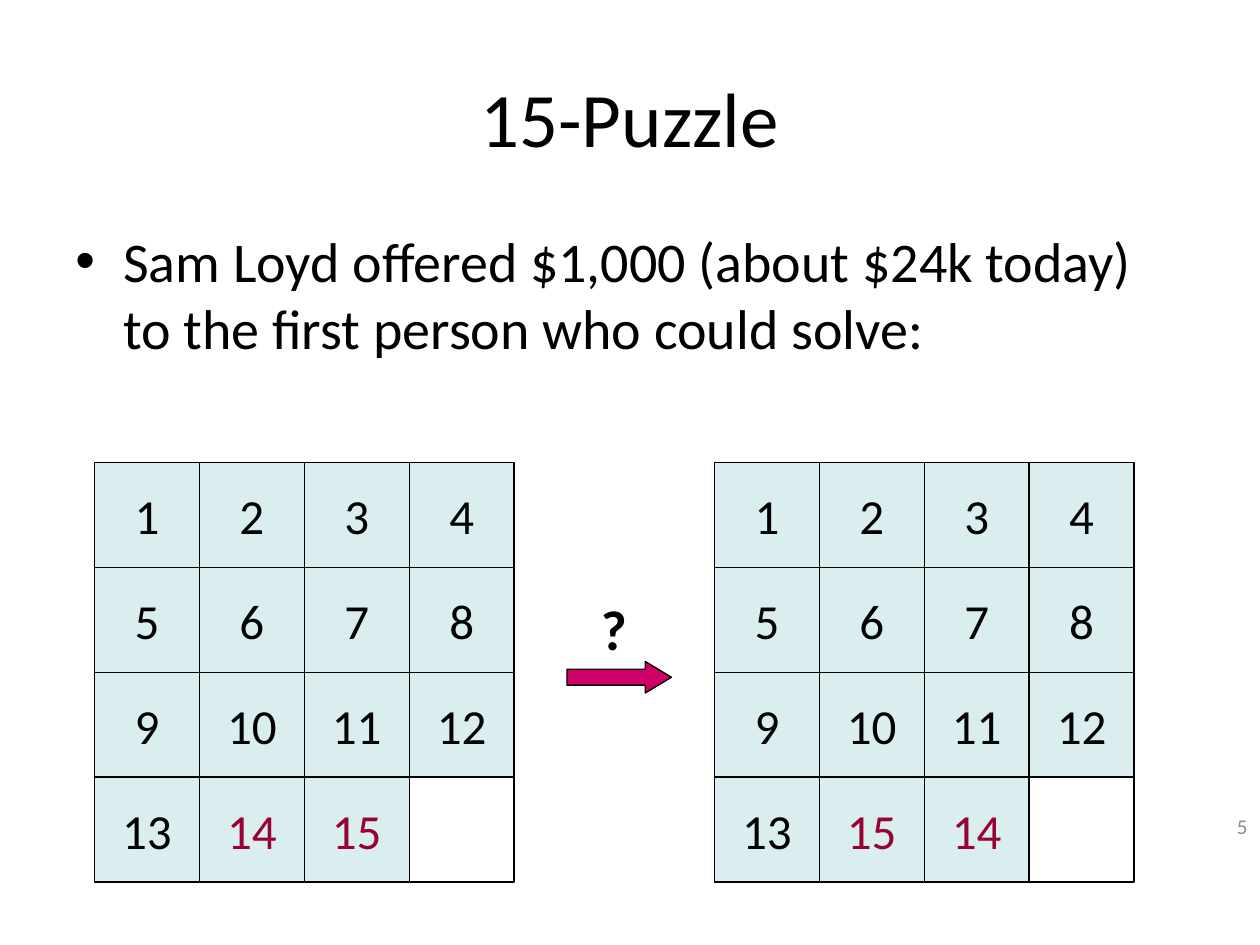
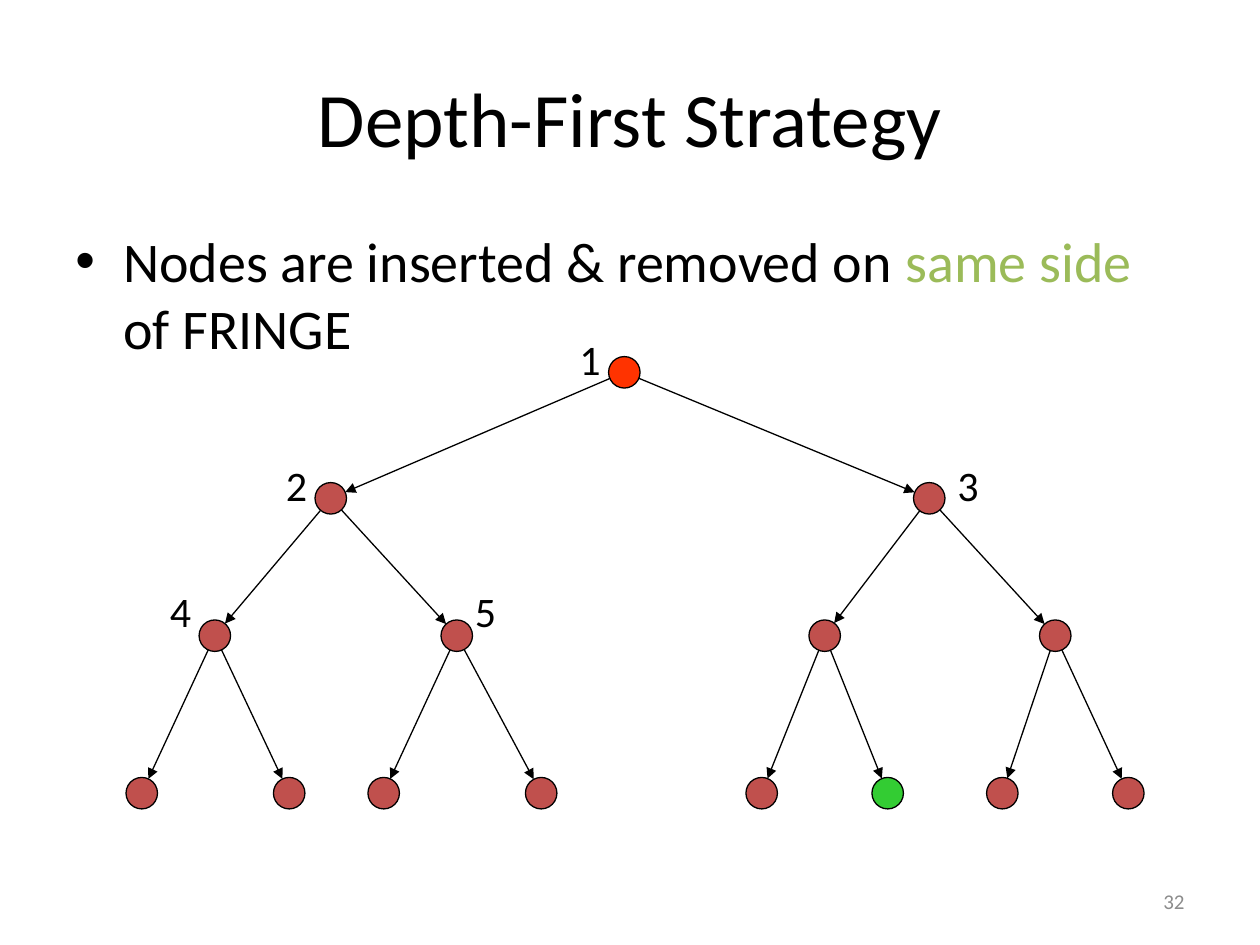
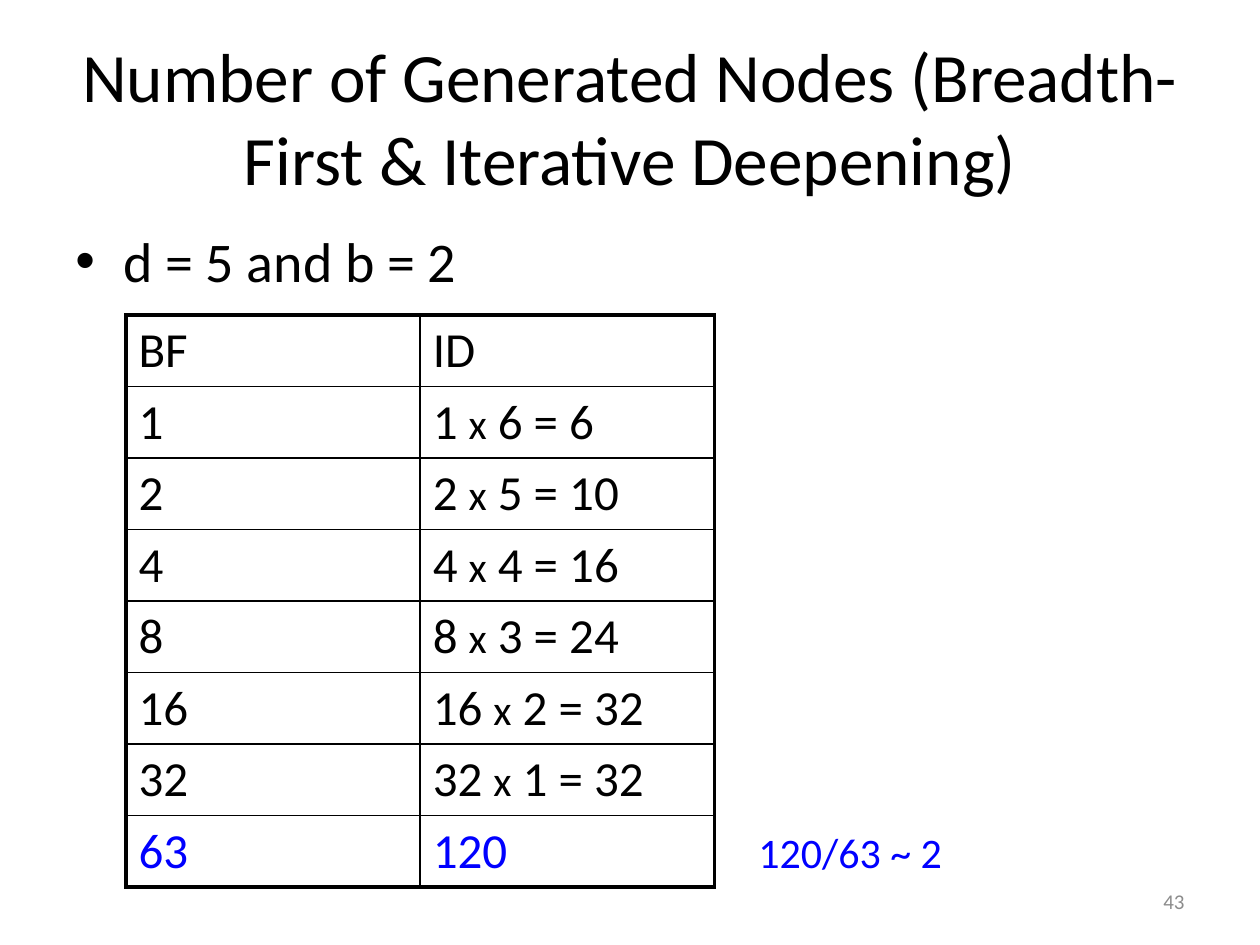
import math
import pptx
import pptx.dml.color
import pptx.enum.shapes
import pptx.enum.text
import pptx.oxml
import pptx.oxml.ns
import pptx.util
from lxml import etree

Inches = pptx.util.Inches
Pt = pptx.util.Pt
Kind = pptx.enum.shapes.MSO_SHAPE
Align = pptx.enum.text.PP_ALIGN
Anchor = pptx.enum.text.MSO_ANCHOR
qn = pptx.oxml.ns.qn

# Shared look
FONT = "Calibri"
BLACK, GREY, BLUE, GREEN = "000000", "8C8C8C", "0000FF", "9BBB59"
TILE, MOVED, ARROW = "DAEEF0", "990033", "CC0066"
NODE, ROOT, GOAL = "C0504D", "FF3300", "33CC33"
THIN, THICK = 1, 2.25
PAGE_BOX = (7.17, 6.95, 2.33, 0.4)


def color(code):
    return pptx.dml.color.RGBColor.from_string(code)


def write(frame, parts, size, tint=BLACK, align=Align.LEFT, bold=False):
    """Write text, or a list of (text, size, color) parts, in one paragraph."""
    if isinstance(parts, str):
        parts = [(parts, size, tint)]
    para = frame.paragraphs[0]
    para.text = parts[0][0]
    for part in parts[1:]:
        para.add_run().text = part[0]
    para.alignment = align
    for run, (_, points, code) in zip(para.runs, parts):
        run.font.name = FONT
        run.font.size = Pt(points)
        run.font.bold = bold
        run.font.color.rgb = color(code)
    return para


def space(para):
    """Put a fifth of a line above the paragraph."""
    gap = etree.Element(qn("a:spcBef"))
    etree.SubElement(gap, qn("a:spcPct"), val="20000")
    para._p.get_or_add_pPr().insert(0, gap)


# Text elements
def add_text(slide, box, parts, size, tint=BLACK, align=Align.LEFT,
             anchor=Anchor.TOP, wrap=True, bold=False):
    frame = slide.shapes.add_textbox(*map(Inches, box)).text_frame
    frame.word_wrap = wrap
    frame.vertical_anchor = anchor
    return write(frame, parts, size, tint, align, bold)


def add_label(slide, left, top, text, size=24, tint=BLACK, wide=0.37,
              high=0.5, bold=False):
    add_text(slide, (left, top, wide, high), text, size, tint,
             wrap=False, bold=bold)


def add_bullet(slide, parts):
    para = add_text(slide, (0.5, 1.75, 9, 4.95), parts, 32)
    space(para)
    props = para._p.get_or_add_pPr()
    props.set("marL", str(Inches(0.38)))
    props.set("indent", str(-Inches(0.38)))
    etree.SubElement(props, qn("a:buFont"), typeface="Arial")
    etree.SubElement(props, qn("a:buChar"), char="•")


def add_slide(deck, title, bullet, page, size=44, box=PAGE_BOX):
    slide = deck.slides.add_slide(deck.slide_layouts[6])
    add_text(slide, (0.5, 0.3, 9, 1.25), title, size,
             align=Align.CENTER, anchor=Anchor.MIDDLE)
    add_bullet(slide, bullet)
    add_text(slide, box, page, 12, GREY, Align.RIGHT, Anchor.MIDDLE)
    return slide


# Drawn elements
def add_shape(slide, kind, box, fill=None):
    shape = slide.shapes.add_shape(kind, *map(Inches, box))
    shape.shadow.inherit = False
    if fill:
        shape.fill.solid()
        shape.fill.fore_color.rgb = color(fill)
    else:
        shape.fill.background()
    shape.line.color.rgb = color(BLACK)
    shape.line.width = Pt(0.75)
    return shape


def add_board(slide, left, top, order):
    """Draw the 4 by 4 board with one empty place at the end."""
    full = 3.33
    side = full / 4
    add_shape(slide, Kind.RECTANGLE, (left, top, full, full))
    for spot, num in enumerate(order):
        row, col = divmod(spot, 4)
        box = (left + col * side, top + row * side, side, side)
        frame = add_shape(slide, Kind.RECTANGLE, box, TILE).text_frame
        frame.word_wrap = False
        frame.vertical_anchor = Anchor.MIDDLE
        write(frame, str(num), 28, MOVED if num > 13 else BLACK, Align.CENTER)


def add_edge(slide, start, end, trim):
    """Draw an arrow between two centres, cut short by trim at each end."""
    angle = math.atan2(end[1] - start[1], end[0] - start[0])
    dx, dy = trim * math.cos(angle), trim * math.sin(angle)
    ends = (start[0] + dx, start[1] + dy, end[0] - dx, end[1] - dy)
    line = slide.shapes.add_connector(
        pptx.enum.shapes.MSO_CONNECTOR.STRAIGHT, *map(Inches, ends))
    line.line.color.rgb = color(BLACK)
    line.line.width = Pt(0.75)
    etree.SubElement(line.line._get_or_add_ln(), qn("a:tailEnd"),
                     type="triangle")
    etree.SubElement(line._element.spPr, qn("a:effectLst"))


def add_tree(slide, levels, size=0.25):
    """Draw a full binary tree from (top, lefts) levels."""
    half = size / 2
    spots = [(left + half, top + half) for top, lefts in levels
             for left in lefts]
    tints = {0: ROOT, 12: GOAL}
    for num, (x, y) in enumerate(spots):
        if num:
            add_edge(slide, spots[(num - 1) // 2], (x, y), half)
        add_shape(slide, Kind.OVAL, (x - half, y - half, size, size),
                  tints.get(num, NODE))


def add_rules(cell, sides):
    """Set the cell's borders, given as tag to width."""
    props = cell._tc.get_or_add_tcPr()
    for place, (tag, width) in enumerate(sides.items()):
        rule = etree.Element(qn("a:" + tag), w=str(Pt(width)))
        fill = etree.SubElement(rule, qn("a:solidFill"))
        etree.SubElement(fill, qn("a:srgbClr"), val=BLACK)
        props.insert(place, rule)


def add_grid(slide, box, rows):
    """Draw a table with a thick frame and thin inner rules."""
    high, wide = len(rows), len(rows[0])
    table = slide.shapes.add_table(high, wide, *map(Inches, box)).table
    table.first_row = table.horz_banding = False
    for i, row in enumerate(rows):
        for j, parts in enumerate(row):
            cell = table.cell(i, j)
            cell.fill.background()
            tint = BLUE if i == high - 1 else BLACK
            space(write(cell.text_frame, parts, 28, tint))
            add_rules(cell, {
                "lnL": THICK if j == 0 else THIN,
                "lnR": THICK if j == wide - 1 else THIN,
                "lnT": THICK if i == 0 else THIN,
                "lnB": THICK if i == high - 1 else THIN})


# Slides
def make_puzzle(deck):
    slide = add_slide(
        deck, "15-Puzzle", "Sam Loyd offered $1,000 (about $24k today) "
        "to the first person who could solve:", "5",
        box=(9.33, 6.27, 0.67, 0.57))
    first = list(range(1, 14))
    add_board(slide, 5.67, 3.67, first + [15, 14])
    add_board(slide, 0.75, 3.67, first + [14, 15])
    arrow = add_shape(slide, Kind.RIGHT_ARROW, (4.5, 5.25, 0.83, 0.25), ARROW)
    arrow.adjustments[1] = 0.83
    add_label(slide, 4.67, 4.67, "?", 32, wide=0.41, high=0.64, bold=True)


def make_depth(deck):
    slide = add_slide(deck, "Depth-First Strategy", [
        ("Nodes are inserted & removed on ", 32, BLACK),
        ("same side ", 32, GREEN), ("of FRINGE", 32, BLACK)], "32")
    add_tree(slide, [
        (2.83, [4.83]),
        (3.83, [2.5, 7.25]),
        (4.92, [1.58, 3.5, 6.42, 8.25]),
        (6.17, [1, 2.17, 2.92, 4.17, 5.92, 6.92, 7.83, 8.83])])
    marks = [(4.5, 2.6), (2.17, 3.6), (7.5, 3.6), (1.25, 4.6), (3.67, 4.6)]
    for num, (left, top) in enumerate(marks, 1):
        add_label(slide, left, top, str(num))


def make_count(deck):
    slide = add_slide(
        deck, "Number of Generated Nodes (Breadth-First & Iterative "
        "Deepening)", "d = 5 and b = 2", "43", 39.6)
    rows, total = [("BF", "ID")], 0
    for depth in range(6):
        count, times = 2 ** depth, 6 - depth
        total += count * times
        rows.append((str(count), [
            (f"{count} ", 28, BLACK), ("x", 24, BLACK),
            (f" {times} = {count * times}", 28, BLACK)]))
    rows.append((str(2 ** 6 - 1), str(total)))
    add_grid(slide, (1, 2.5, 4.67, 4.53), rows)
    add_label(slide, 5.92, 6.51, "120/63 ~ 2", tint=BLUE, wide=1.68)


def main():
    deck = pptx.Presentation()
    deck.slide_width, deck.slide_height = Inches(10), Inches(7.5)
    make_puzzle(deck)
    make_depth(deck)
    make_count(deck)
    deck.save("out.pptx")


if __name__ == "__main__":
    main()
